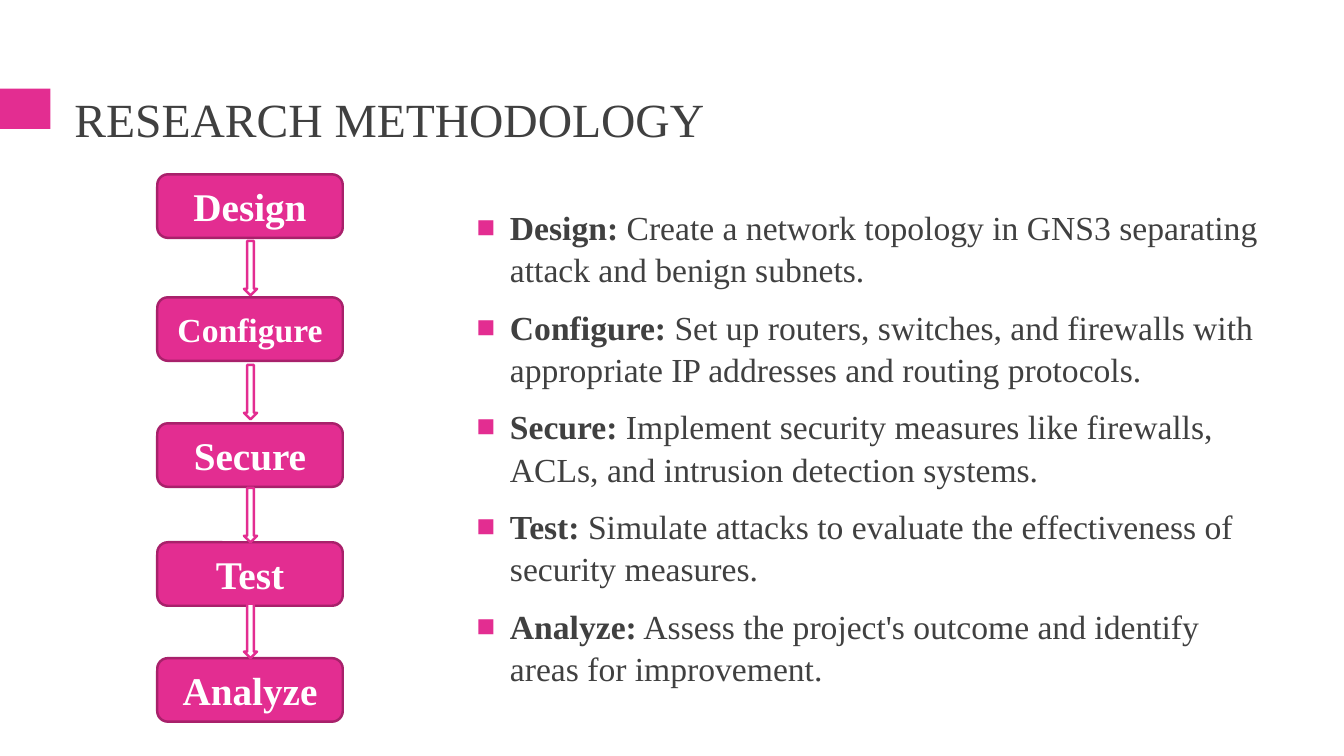
from dataclasses import dataclass

import pptx
import pptx.dml.color
import pptx.enum.shapes
import pptx.enum.text
import pptx.oxml
import pptx.oxml.ns
import pptx.util

PX = 9144  # 100 px to the inch
FONT = "Times New Roman"
COLORS = {"pink": "E32D91", "plum": "A8216B", "ink": "404040", "white": "FFFFFF"}
SHAPES = pptx.enum.shapes.MSO_SHAPE
MIDDLE = pptx.enum.text.MSO_ANCHOR.MIDDLE

STEP_LEFT, STEP_WIDTH, STEP_HEIGHT = 156, 184, 63
ARROW_LEFT, ARROW_WIDTH, ARROW_HEIGHT = 242, 13, 54
BULLET_INDENT = 33


@dataclass
class Step:
    name: str
    detail: str
    top: int
    size: int = 28
    arrow_top: int | None = None


STEPS = [
    Step("Design", "Create a network topology in GNS3 separating attack and benign subnets.",
         173, arrow_top=239),
    Step("Configure", "Set up routers, switches, and firewalls with appropriate IP addresses "
         "and routing protocols.", 295, size=24, arrow_top=362),
    Step("Secure", "Implement security measures like firewalls, ACLs, and intrusion "
         "detection systems.", 420, arrow_top=484),
    Step("Test", "Simulate attacks to evaluate the effectiveness of security measures.",
         538, arrow_top=599),
    Step("Analyze", "Assess the project's outcome and identify areas for improvement.", 653),
]


def rgb(name: str) -> pptx.dml.color.RGBColor:
    return pptx.dml.color.RGBColor.from_string(COLORS[name])


def style_font(font, size: int, color: str, bold: bool = False) -> None:
    font.name = FONT
    font.size = pptx.util.Pt(size)
    font.color.rgb = rgb(color)
    font.bold = bold


def add_block(slide, kind, left: int, top: int, width: int, height: int,
              fill: str, line: str | None = None):
    block = slide.shapes.add_shape(kind, left * PX, top * PX, width * PX, height * PX)
    block.shadow.inherit = False
    block.fill.solid()
    block.fill.fore_color.rgb = rgb(fill)
    if line:
        block.line.color.rgb = rgb(line)
        block.line.width = pptx.util.Pt(1.75)
    else:
        block.line.fill.background()
    return block


def add_text_frame(slide, left: int, top: int, width: int, height: int):
    """Add a wrapping, vertically centred text box and return its frame."""
    frame = slide.shapes.add_textbox(left * PX, top * PX, width * PX, height * PX).text_frame
    frame.word_wrap = True
    frame.vertical_anchor = MIDDLE
    return frame


def add_bullet(paragraph) -> None:
    properties = paragraph._p.get_or_add_pPr()
    properties.set("marL", str(BULLET_INDENT * PX))
    properties.set("indent", str(-BULLET_INDENT * PX))
    namespace = pptx.oxml.ns.nsdecls("a")
    for xml in (
        f'<a:buClr {namespace}><a:srgbClr val="{COLORS["pink"]}"/></a:buClr>',
        f'<a:buSzPct {namespace} val="92000"/>',
        f'<a:buFont {namespace} typeface="{FONT}"/>',
        f'<a:buChar {namespace} char="■"/>',
    ):
        properties.append(pptx.oxml.parse_xml(xml))


def add_details(slide) -> None:
    details = add_text_frame(slide, 463, 207, 807, 472)
    for index, step in enumerate(STEPS):
        paragraph = details.add_paragraph() if index else details.paragraphs[0]
        add_bullet(paragraph)
        paragraph.line_spacing = 1.05
        paragraph.space_before = pptx.util.Pt(4.8 if index else 0)
        paragraph.space_after = pptx.util.Pt(6)
        for text, bold in ((f"{step.name}:", True), (f" {step.detail}", False)):
            run = paragraph.add_run()
            run.text = text
            style_font(run.font, 24, "ink", bold)


def add_step(slide, step: Step) -> None:
    box = add_block(slide, SHAPES.ROUNDED_RECTANGLE, STEP_LEFT, step.top,
                    STEP_WIDTH, STEP_HEIGHT, "pink", "plum")
    box.text_frame.text = step.name
    box.text_frame.vertical_anchor = MIDDLE
    label = box.text_frame.paragraphs[0]
    label.alignment = pptx.enum.text.PP_ALIGN.CENTER
    style_font(label.runs[0].font, step.size, "white", bold=True)


def main() -> None:
    deck = pptx.Presentation()
    deck.slide_width, deck.slide_height = 1333 * PX, 750 * PX
    slide = deck.slides.add_slide(deck.slide_layouts[6])

    add_block(slide, SHAPES.RECTANGLE, 0, 88, 50, 40, "pink")
    title = add_text_frame(slide, 64, 77, 1206, 81)
    title.text = "RESEARCH METHODOLOGY"
    style_font(title.paragraphs[0].runs[0].font, 34, "ink")

    add_details(slide)
    for step in STEPS:
        add_step(slide, step)
    for step in STEPS:
        if step.arrow_top is not None:
            add_block(slide, SHAPES.DOWN_ARROW, ARROW_LEFT, step.arrow_top,
                      ARROW_WIDTH, ARROW_HEIGHT, "white", "pink")

    deck.save("out.pptx")


if __name__ == "__main__":
    main()
